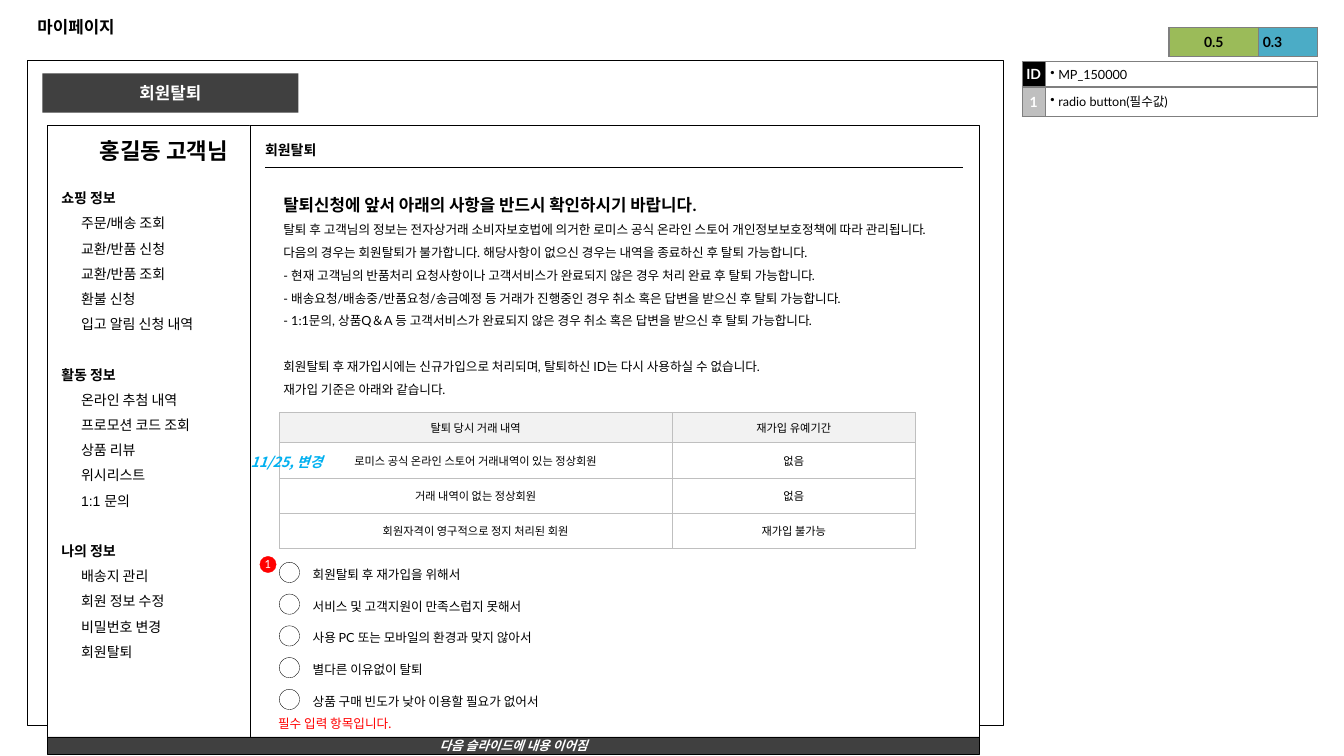
import pptx
import pptx.dml.color
import pptx.enum.shapes
import pptx.enum.text
import pptx.oxml
import pptx.oxml.ns
import pptx.util
from pptx.util import Cm

SHAPE = pptx.enum.shapes.MSO_SHAPE
ALIGN = pptx.enum.text.PP_ALIGN
ANCHOR = pptx.enum.text.MSO_ANCHOR
FIXED = pptx.util.Pt(18)
KOREAN_FONT = "Noto Sans CJK KR"
NAMESPACE = pptx.oxml.ns.nsdecls("a")

# Character formats
PAGE_TITLE = dict(name="Arial", size=12, bold=True)
MENU_ITEM = dict(name="Arial", size=10, bold=False)
MENU_HEAD = dict(MENU_ITEM, bold=True)
CUSTOMER = dict(MENU_HEAD, size=16)
BODY = dict(name="Lato", size=9, bold=False)
NOTICE_HEAD = dict(BODY, size=12, bold=True)
CELL = dict(BODY, size=8)
LABEL = dict(BODY, size=10, bold=True)

MENU = [
    ("쇼핑 정보", ["주문/배송 조회", "교환/반품 신청", "교환/반품 조회", "환불 신청", "입고 알림 신청 내역"]),
    ("활동 정보", ["온라인 추첨 내역", "프로모션 코드 조회", "상품 리뷰", "위시리스트", "1:1 문의"]),
    ("나의 정보", ["배송지 관리", "회원 정보 수정", "비밀번호 변경", "회원탈퇴"]),
]
NOTICE_TITLE = "탈퇴신청에 앞서 아래의 사항을 반드시 확인하시기 바랍니다."
NOTICE_RULES = [
    "탈퇴 후 고객님의 정보는 전자상거래 소비자보호법에 의거한 로미스 공식 온라인 스토어 개인정보보호정책에 따라 관리됩니다.",
    "다음의 경우는 회원탈퇴가 불가합니다. 해당사항이 없으신 경우는 내역을 종료하신 후 탈퇴 가능합니다.",
    "- 현재 고객님의 반품처리 요청사항이나 고객서비스가 완료되지 않은 경우 처리 완료 후 탈퇴 가능합니다.",
    "- 배송요청/배송중/반품요청/송금예정 등 거래가 진행중인 경우 취소 혹은 답변을 받으신 후 탈퇴 가능합니다.",
    "- 1:1문의, 상품Q＆A 등 고객서비스가 완료되지 않은 경우 취소 혹은 답변을 받으신 후 탈퇴 가능합니다.",
]
NOTICE_REJOIN = [
    "회원탈퇴 후 재가입시에는 신규가입으로 처리되며, 탈퇴하신 ID는 다시 사용하실 수 없습니다.",
    "재가입 기준은 아래와 같습니다.",
]
REJOIN_ROWS = [
    ("탈퇴 당시 거래 내역", "재가입 유예기간"),
    ("로미스 공식 온라인 스토어 거래내역이 있는 정상회원", "없음"),
    ("거래 내역이 없는 정상회원", "없음"),
    ("회원자격이 영구적으로 정지 처리된 회원", "재가입 불가능"),
]
REASONS = ["회원탈퇴 후 재가입을 위해서", "서비스 및 고객지원이 만족스럽지 못해서",
           "사용 PC 또는 모바일의 환경과 맞지 않아서", "별다른 이유없이 탈퇴",
           "상품 구매 빈도가 낮아 이용할 필요가 없어서"]


def color(value):
    return pptx.dml.color.RGBColor.from_string(value)


def write(paragraph, lines, style, ink="000000", **layout):
    """Write lines separated by line breaks, with paragraph layout."""
    for key, value in layout.items():
        setattr(paragraph, key, value)
    for number, line in enumerate([lines] if isinstance(lines, str) else lines):
        if number:
            paragraph.add_line_break()
        run = paragraph.add_run()
        run.text = line
        for key, value in style.items():
            setattr(run.font, key, pptx.util.Pt(value) if key == "size" else value)
        run.font.color.rgb = color(ink)
        run.font._element.append(pptx.oxml.parse_xml(f'<a:ea {NAMESPACE} typeface="{KOREAN_FONT}"/>'))


def set_bullet(paragraph, mark=None, margin=0.0, indent=0.0):
    properties = paragraph._p.get_or_add_pPr()
    properties.set("marL", str(Cm(margin)))
    properties.set("indent", str(Cm(indent)))
    xml = f'<a:buChar {NAMESPACE} char="{mark}"/>' if mark else f"<a:buNone {NAMESPACE}/>"
    properties.append(pptx.oxml.parse_xml(xml))


def set_frame(frame, anchor=ANCHOR.TOP, inset=None, wrap=True):
    frame.word_wrap = wrap
    frame.vertical_anchor = anchor
    if inset is not None:
        for side in ("left", "top", "right", "bottom"):
            setattr(frame, f"margin_{side}", Cm(inset))
    return frame


def add_text(slide, box, **frame_format):
    shape = slide.shapes.add_textbox(*map(Cm, box))
    return set_frame(shape.text_frame, **frame_format)


def add_box(slide, box, fill=None, line=None, width=0.25, kind=SHAPE.RECTANGLE):
    shape = slide.shapes.add_shape(kind, *map(Cm, box))
    shape.shadow.inherit = False
    for target, value in ((shape.fill, fill), (shape.line.fill, line)):
        if value:
            target.solid()
            target.fore_color.rgb = color(value)
        else:
            target.background()
    if line:
        shape.line.width = pptx.util.Pt(width)
    return shape


def add_grid(slide, left, top, columns, rows, border, width):
    """Add a plain bordered table."""
    table = slide.shapes.add_table(len(rows), len(columns), Cm(left), Cm(top),
                                   Cm(sum(columns)), Cm(sum(rows))).table
    table.first_row = table.horz_banding = False
    for column, size in zip(table.columns, columns):
        column.width = Cm(size)
    for row, size in zip(table.rows, rows):
        row.height = Cm(size)
    for cell in table.iter_cells():
        for side in "LRTB":
            cell._tc.get_or_add_tcPr().append(pptx.oxml.parse_xml(
                f'<a:ln{side} {NAMESPACE} w="{pptx.util.Pt(width)}"><a:solidFill>'
                f'<a:srgbClr val="{border}"/></a:solidFill></a:ln{side}>'))
    return table


def fill_cell(cell, text, style, fill, ink="000000", inset=0.0, anchor=ANCHOR.MIDDLE, align=ALIGN.CENTER):
    for side in ("left", "top", "right", "bottom"):
        setattr(cell, f"margin_{side}", Cm(inset))
    cell.vertical_anchor = anchor
    cell.fill.solid()
    cell.fill.fore_color.rgb = color(fill)
    write(cell.text_frame.paragraphs[0], text, style, ink, alignment=align)


def place(slide, placeholder, box, anchor):
    """Move a placeholder to a box and in front of the shapes so far."""
    placeholder.left, placeholder.top, placeholder.width, placeholder.height = map(Cm, box)
    slide.shapes._spTree.append(placeholder._element)
    placeholder.text_frame.auto_size = pptx.enum.text.MSO_AUTO_SIZE.NONE
    return set_frame(placeholder.text_frame, anchor)


def build_header(slide, left, top, width, height):
    frame = place(slide, slide.shapes.title, (left, top, width, height), ANCHOR.MIDDLE)
    write(frame.paragraphs[0], "마이페이지", PAGE_TITLE, alignment=ALIGN.LEFT)
    # Version cells, the second lying over the first
    for offset, text, fill in ((30.25, "0.3", "4BACC6"), (28.77, "0.5", "9BBB59")):
        table = add_grid(slide, left + offset, top + 0.51, [2.26], [0.74], "7F7F7F", 1)
        fill_cell(table.cell(0, 0), text, LABEL, fill)


def build_legend(slide, left, top):
    table = add_grid(slide, left, top, [0.58, 6.86], [0.64, 0.74], "7F7F7F", 1)
    rows = [("ID", "000000", "MP_150000"), ("1", "BFBFBF", "radio button(필수값)")]
    for number, (key, fill, text) in enumerate(rows):
        fill_cell(table.cell(number, 0), key, LABEL, fill, "FFFFFF")
        cell = table.cell(number, 1)
        fill_cell(cell, text, BODY, "FFFFFF", inset=0.13, anchor=ANCHOR.TOP, align=ALIGN.LEFT)
        set_bullet(cell.text_frame.paragraphs[0], "•", 0.2, -0.2)


def build_sidebar(slide, left, top, width, height):
    add_box(slide, (left, top, width, height), "FFFFFF", "000000")
    frame = place(slide, slide.placeholders[1], (left + 0.1, top + 1.29, 5, 12.01), ANCHOR.TOP)
    paragraph = frame.paragraphs[0]
    for number, (heading, items) in enumerate(MENU):
        if number:
            paragraph = frame.add_paragraph()
        write(paragraph, heading, MENU_HEAD, line_spacing=FIXED, space_before=FIXED if number else 0)
        set_bullet(paragraph)
        for item in items:
            paragraph = frame.add_paragraph()
            write(paragraph, item, MENU_ITEM, line_spacing=FIXED, space_before=0)
            set_bullet(paragraph, margin=0.5)
    name = add_text(slide, (left + 1.07, top + 0.23, 4.37, 0.84))
    write(name.paragraphs[0], "홍길동 고객님", CUSTOMER, line_spacing=FIXED)


def build_content(slide, left, top, width, height):
    add_box(slide, (left, top, width, height), "FFFFFF", "000000")
    frame = add_text(slide, (left + 0.13, top + 0.1, 5, 0.84), anchor=ANCHOR.MIDDLE)
    write(frame.paragraphs[0], "회원탈퇴", MENU_HEAD, line_spacing=FIXED)
    rule = slide.shapes.add_connector(pptx.enum.shapes.MSO_CONNECTOR.STRAIGHT, Cm(left + 0.38),
                                      Cm(top + 1.07), Cm(left + 17.98), Cm(top + 1.07))
    rule.line.color.rgb = color("000000")
    rule.line.width = pptx.util.Pt(0.75)
    rule._element.spPr.append(pptx.oxml.parse_xml(f"<a:effectLst {NAMESPACE}/>"))
    # Notice
    inner = left + 0.74
    frame = add_text(slide, (inner, top + 1.4, 17.63, 5.38), inset=0.1)
    write(frame.paragraphs[0], NOTICE_TITLE, NOTICE_HEAD, line_spacing=1.5)
    write(frame.add_paragraph(), NOTICE_RULES, BODY, line_spacing=1.5)
    write(frame.add_paragraph(), NOTICE_REJOIN, BODY, line_spacing=1.5, space_before=pptx.util.Pt(16.3))
    # Rejoin periods
    table = add_grid(slide, inner, top + 7.24, [9.9, 6.13], [0.76] + [0.89] * 3, "BFBFBF", 0.25)
    for row, texts in enumerate(REJOIN_ROWS):
        for column, text in enumerate(texts):
            fill_cell(table.cell(row, column), text, CELL, "FFFFFF" if row else "F2F2F2")
    # Reasons with radio buttons
    for number, reason in enumerate(REASONS):
        line_top = top + 10.82 + 0.8 * number
        add_box(slide, (inner, line_top + 0.2, 0.51, 0.51), "FFFFFF", "000000", kind=SHAPE.OVAL)
        frame = add_text(slide, (inner + 0.74, line_top, 7.42, 0.81), anchor=ANCHOR.MIDDLE, inset=0.1)
        write(frame.paragraphs[0], reason, BODY, line_spacing=1.5)
    frame = add_text(slide, (left + 0.46, top + 14.76, 4.55, 0.64))
    write(frame.paragraphs[0], "필수 입력 항목입니다.", dict(BODY, name=KOREAN_FONT), "FF0000")
    # Callout number and change note
    badge = add_box(slide, (left + 0.25, top + 10.87, 0.41, 0.41), "FF0000", "FF0000", kind=SHAPE.OVAL)
    frame = set_frame(badge.text_frame, ANCHOR.MIDDLE, 0, wrap=False)
    write(frame.paragraphs[0], "1", CELL, "FFFFFF", alignment=ALIGN.CENTER)
    frame = add_text(slide, (left - 0.23, top + 8.15, 2.44, 0.69), wrap=False)
    write(frame.paragraphs[0], "11/25, 변경", dict(LABEL, name=KOREAN_FONT, italic=True), "00B0F0")


def build_bar(slide, box, text, style, line=None):
    bar = add_box(slide, box, "404040", line)
    frame = set_frame(bar.text_frame, ANCHOR.MIDDLE, 0.1)
    write(frame.paragraphs[0], text, style, "FFFFFF", alignment=ALIGN.CENTER)


def main():
    presentation = pptx.Presentation()
    presentation.slide_width, presentation.slide_height = Cm(33.87), Cm(19.05)
    slide = presentation.slides.add_slide(presentation.slide_layouts[1])
    add_box(slide, (0.69, 1.52, 24.61, 16.76), line="000000", width=0.75)
    build_header(slide, 0.69, 0.18, 32.49, 0.99)
    build_legend(slide, 25.76, 1.55)
    build_bar(slide, (1.07, 1.85, 6.45, 0.99), "회원탈퇴", PAGE_TITLE)
    build_sidebar(slide, 1.19, 3.15, 5.13, 15.42)
    build_content(slide, 6.3, 3.15, 18.39, 15.42)
    build_bar(slide, (1.19, 18.57, 23.5, 0.43), "다음 슬라이드에 내용 이어짐",
              dict(BODY, bold=True, italic=True), "000000")
    presentation.save("out.pptx")


if __name__ == "__main__":
    main()
